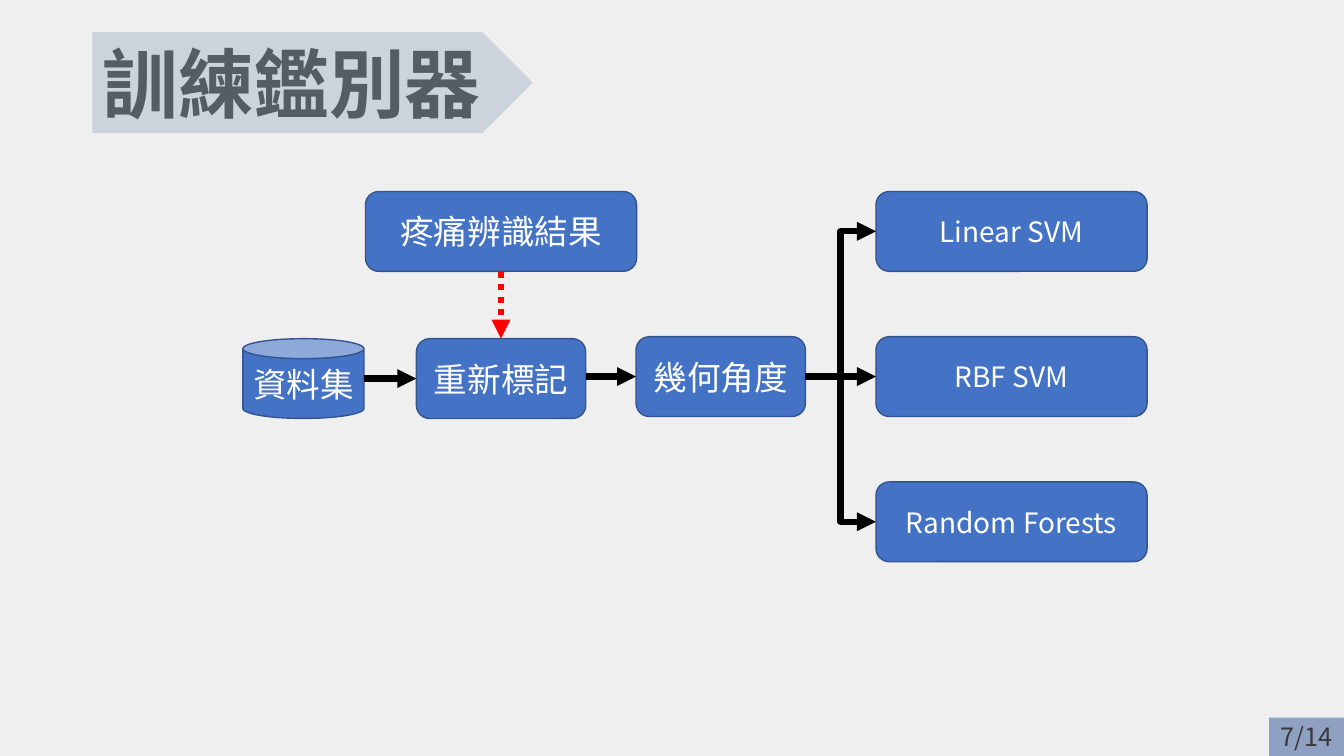
"""Build the discriminator training flow slide."""
from dataclasses import dataclass
from typing import Any

from lxml.etree import SubElement
from pptx import Presentation
from pptx.dml.color import RGBColor
from pptx.enum.dml import MSO_LINE
from pptx.enum.shapes import MSO_CONNECTOR, MSO_SHAPE
from pptx.enum.text import MSO_ANCHOR, MSO_AUTO_SIZE, PP_ALIGN
from pptx.oxml.ns import qn
from pptx.util import Pt

FONT = "Noto Sans CJK SC"
COLOURS = {
    "page": "EFEFEF",
    "title": "000000",
    "banner": "ADB9CA",
    "counter": "2F5597",
    "counter_text": "3B3838",
    "box": "4472C4",
    "border": "325491",
    "box_text": "FFFFFF",
    "flow": "000000",
    "feedback": "FF0000",
}
BOX_HEIGHT = 57
WIDE, NARROW, CAN = 193.7, 121, 86.5
TOP_ROW, ROW_STEP = 136.8, 103.7
MIDDLE_ROW, DATA_ROW = TOP_ROW + ROW_STEP, 241.9
DATA_LEFT, RELABEL_LEFT, ANGLE_LEFT, MODEL_LEFT = 173.5, 297.4, 454.3, 625.7
RESULT_LEFT = RELABEL_LEFT + (NARROW - WIDE) / 2
MODELS = ("Linear SVM", "RBF SVM", "Random Forests")


@dataclass(frozen=True)
class Box:
    """A filled shape with an optional centred label."""

    left: float
    top: float
    width: float
    height: float = BOX_HEIGHT
    text: str = ""
    size: float = 24
    kind: MSO_SHAPE = MSO_SHAPE.ROUNDED_RECTANGLE
    fill: str = "box"
    border: str = "border"
    colour: str = "box_text"
    opacity: int = 100

    @property
    def right(self) -> float:
        """Return the right edge."""
        return self.left + self.width

    @property
    def centre(self) -> float:
        """Return the horizontal centre."""
        return self.left + self.width / 2

    @property
    def middle(self) -> float:
        """Return the vertical centre."""
        return self.top + self.height / 2


@dataclass(frozen=True)
class Arrow:
    """A connector that ends in a triangle."""

    start: tuple[float, float]
    end: tuple[float, float]
    kind: MSO_CONNECTOR = MSO_CONNECTOR.STRAIGHT
    colour: str = "flow"
    dash: MSO_LINE | None = None


def rgb(name: str) -> RGBColor:
    """Return a named colour."""
    return RGBColor.from_string(COLOURS[name])


def apply(target: Any, values: dict[str, Any]) -> None:
    """Set each attribute of the target."""
    for name, value in values.items():
        setattr(target, name, value)


def write(frame: Any, text: str, paragraph: dict[str, Any], font: dict[str, Any], colour: str) -> None:
    """Write one formatted paragraph into a text frame."""
    para = frame.paragraphs[0]
    apply(para, paragraph)
    span = para.add_run()
    span.text = text
    apply(span.font, {"name": FONT, **font})
    span.font.color.rgb = rgb(colour)
    SubElement(span.font._element, qn("a:ea")).set("typeface", FONT)


def draw_title(page: Any, text: str) -> None:
    """Place and format the title placeholder."""
    title = page.shapes.title
    apply(title, {"left": Pt(66), "top": Pt(23), "width": Pt(828), "height": Pt(73)})
    frame = title.text_frame
    apply(frame, {"auto_size": MSO_AUTO_SIZE.NONE, "word_wrap": True, "vertical_anchor": MSO_ANCHOR.BOTTOM})
    paragraph = {"alignment": PP_ALIGN.LEFT, "line_spacing": 0.9, "space_after": Pt(6)}
    write(frame, text, paragraph, {"size": Pt(54), "bold": True}, "title")


def draw_box(page: Any, box: Box) -> None:
    """Draw one box with its label."""
    shape = page.shapes.add_shape(box.kind, Pt(box.left), Pt(box.top), Pt(box.width), Pt(box.height))
    shape.shadow.inherit = False
    shape.fill.solid()
    shape.fill.fore_color.rgb = rgb(box.fill)
    if box.opacity < 100:
        colour = shape._element.spPr.find(qn("a:solidFill"))[0]
        SubElement(colour, qn("a:alpha")).set("val", str(box.opacity * 1000))
    if box.border:
        shape.line.color.rgb = rgb(box.border)
        shape.line.width = Pt(1)
    else:
        shape.line.fill.background()
    if box.text:
        frame = shape.text_frame
        apply(frame, {"word_wrap": True, "vertical_anchor": MSO_ANCHOR.MIDDLE})
        write(frame, box.text, {"alignment": PP_ALIGN.CENTER}, {"size": Pt(box.size)}, box.colour)


def draw_arrow(page: Any, arrow: Arrow) -> None:
    """Draw one arrow."""
    line = page.shapes.add_connector(arrow.kind, *map(Pt, arrow.start + arrow.end))
    line.line.color.rgb = rgb(arrow.colour)
    apply(line.line, {"width": Pt(4.5), "dash_style": arrow.dash})
    SubElement(line.line._get_or_add_ln(), qn("a:tailEnd")).set("type", "triangle")
    SubElement(line._element.spPr, qn("a:effectLst"))


def main() -> None:
    """Build and save the deck."""
    deck = Presentation()
    apply(deck, {"slide_width": Pt(960), "slide_height": Pt(540)})
    page = deck.slides.add_slide(deck.slide_layouts[5])
    page.background.fill.solid()
    page.background.fill.fore_color.rgb = rgb("page")

    counter = Box(906.5, 512.6, 53.5, 27.4, "7/14", 18, MSO_SHAPE.RECTANGLE,
                  "counter", "", "counter_text", 50)
    banner = Box(66, 23, 314.6, 72, kind=MSO_SHAPE.PENTAGON, fill="banner", border="", opacity=50)
    dataset = Box(DATA_LEFT, DATA_ROW, CAN, text="資料集", kind=MSO_SHAPE.CAN)
    relabel = Box(RELABEL_LEFT, DATA_ROW, NARROW, text="重新標記")
    angles = Box(ANGLE_LEFT, MIDDLE_ROW, NARROW, text="幾何角度")
    result = Box(RESULT_LEFT, TOP_ROW, WIDE, text="疼痛辨識結果")
    models = [Box(MODEL_LEFT, TOP_ROW + row * ROW_STEP, WIDE, text=name, size=20)
              for row, name in enumerate(MODELS)]

    arrows = [
        Arrow((dataset.right, dataset.middle), (relabel.left, dataset.middle)),
        Arrow((relabel.right, angles.middle), (angles.left, angles.middle)),
        Arrow((result.centre, result.top + result.height), (relabel.centre, relabel.top),
              colour="feedback", dash=MSO_LINE.ROUND_DOT),
    ]
    arrows += [Arrow((angles.right, angles.middle), (model.left, model.middle), MSO_CONNECTOR.ELBOW)
               for model in models]

    draw_title(page, "訓練鑑別器")
    for box in (counter, banner, dataset, relabel, angles, result, *models):
        draw_box(page, box)
    for arrow in arrows:
        draw_arrow(page, arrow)
    deck.save("out.pptx")


if __name__ == "__main__":
    main()
